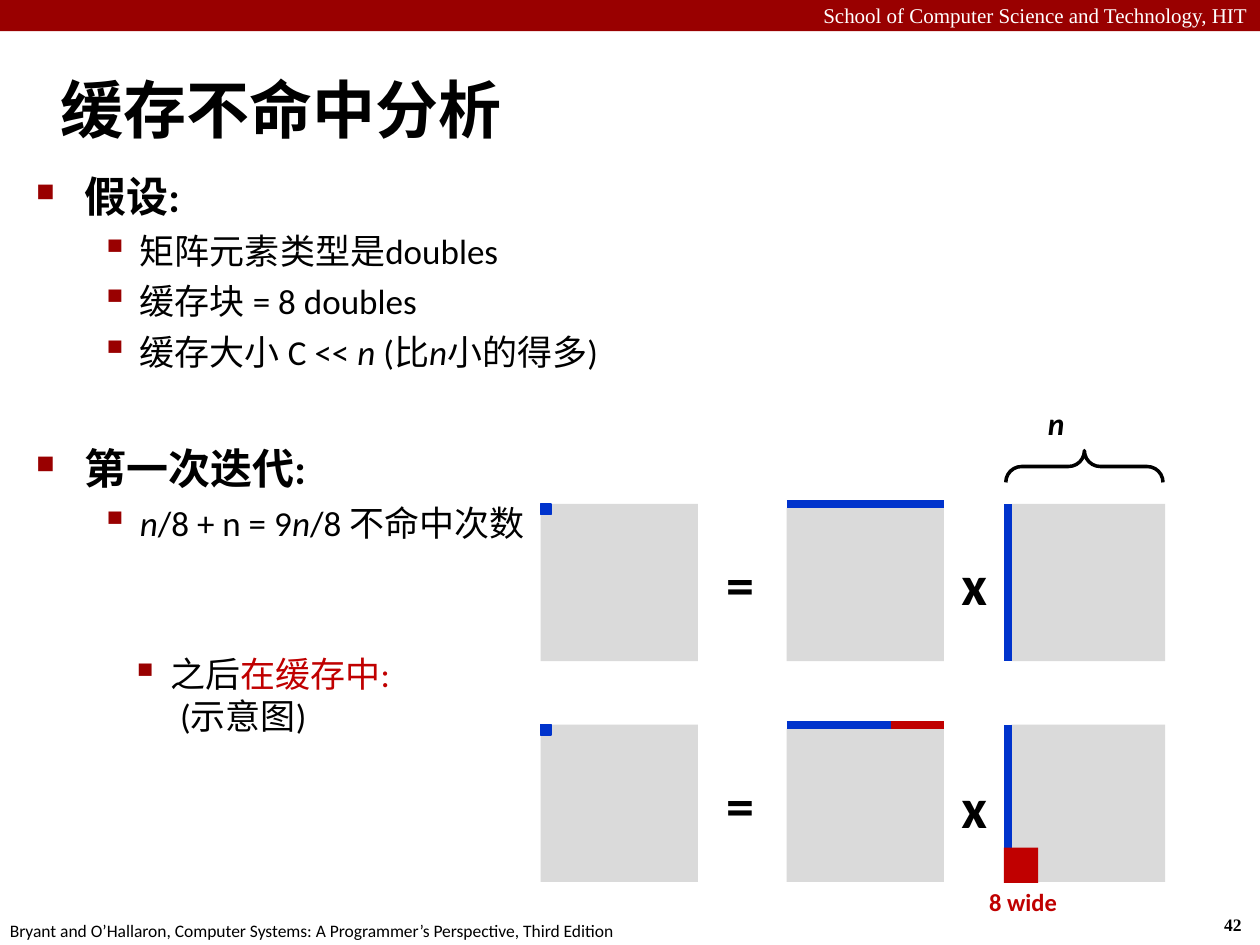
from lxml.etree import SubElement
from pptx import Presentation
from pptx.dml.color import RGBColor
from pptx.enum.shapes import MSO_CONNECTOR, MSO_SHAPE
from pptx.enum.text import MSO_ANCHOR, PP_ALIGN
from pptx.oxml.ns import qn
from pptx.util import Cm, Pt

COLORS = {
    "banner": "990000",
    "white": "FFFFFF",
    "black": "000000",
    "matrix": "DADADA",
    "blue": "0033CC",
    "red": "C00000",
}
BULLETS = {
    "heading": {"char": "■", "percent": 60, "margin": 0.99, "hanging": 0.97},
    "item": {"char": "▪", "percent": 110, "margin": 2.11, "hanging": 0.79},
    "note": {"char": "▪", "percent": 110, "margin": 0.84, "hanging": 0.79},
}

presentation = Presentation()
presentation.slide_width = Cm(25.4)
presentation.slide_height = Cm(19.05)
slide = presentation.slides.add_slide(presentation.slide_layouts[6])


def add_text(box, paragraphs, inset=0, wrap=True, anchor=MSO_ANCHOR.TOP):
    frame = slide.shapes.add_textbox(*[Cm(length) for length in box]).text_frame
    frame.word_wrap = wrap
    frame.vertical_anchor = anchor
    frame.margin_left = frame.margin_right = Cm(inset)
    frame.margin_top = frame.margin_bottom = Cm(inset / 2)
    for index, style in enumerate(paragraphs):
        paragraph = frame.paragraphs[0] if index == 0 else frame.add_paragraph()
        paragraph.alignment = style.get("align", PP_ALIGN.LEFT)
        if "before" in style:
            paragraph.space_before = Pt(style["before"])
        if "line" in style:
            paragraph.line_spacing = Pt(style["line"])
        properties = paragraph._p.get_or_add_pPr()
        if "bullet" in style:
            bullet = BULLETS[style["bullet"]]
            paragraph.level = 1 if style["bullet"] == "item" else 0
            properties.set("marL", str(Cm(bullet["margin"])))
            properties.set("indent", str(-Cm(bullet["hanging"])))
            color = SubElement(properties, qn("a:buClr"))
            SubElement(color, qn("a:srgbClr"), val=COLORS["banner"])
            SubElement(properties, qn("a:buSzPct"), val=str(bullet["percent"] * 1000))
            SubElement(properties, qn("a:buChar"), char=bullet["char"])
        elif "margin" in style:
            properties.set("marL", str(Cm(style["margin"])))
            properties.set("indent", "0")
        paragraph.font.name = style.get("font", "Calibri")
        paragraph.font.size = Pt(style["size"])
        paragraph.font.bold = style.get("bold", False)
        paragraph.font.color.rgb = RGBColor.from_string(COLORS[style.get("color", "black")])
        for text, *emphasis in style["runs"]:
            run = paragraph.add_run()
            run.text = text
            if "italic" in emphasis:
                run.font.italic = True
            if "red" in emphasis:
                run.font.color.rgb = RGBColor.from_string(COLORS["red"])


def add_rectangle(box, color):
    shape = slide.shapes.add_shape(MSO_SHAPE.RECTANGLE, *[Cm(length) for length in box])
    shape.shadow.inherit = False
    shape.fill.solid()
    shape.fill.fore_color.rgb = RGBColor.from_string(COLORS[color])
    shape.line.fill.background()
    return shape


add_rectangle((0, 0, 25.4, 0.63), "banner")
add_text(
    (0, -0.08, 25.4, 0.76),
    [{"runs": [("School of Computer Science and Technology, HIT",)], "size": 12,
      "font": "Times New Roman", "color": "white", "align": PP_ALIGN.RIGHT}],
    inset=0.25,
)
add_text(
    (24.43, 18.31, 0.94, 0.69),
    [{"runs": [("42",)], "size": 10, "font": "Times New Roman", "bold": True}],
    inset=0.25, wrap=False,
)
add_text(
    (-0.05, 18.42, 12.9, 0.69),
    [{"runs": [("Bryant and O’Hallaron, Computer Systems: A Programmer’s Perspective, Third Edition",)],
      "size": 10}],
    inset=0.25, wrap=False,
)
add_text(
    (1.22, 1.42, 10.57, 1.52),
    [{"runs": [("缓存不命中分析",)], "size": 36, "bold": True}],
    anchor=MSO_ANCHOR.MIDDLE,
)
add_text((0.71, 3.43, 20.75, 7.59), [
    {"runs": [("假设:",)], "size": 24, "bold": True, "bullet": "heading"},
    {"runs": [("矩阵元素类型是doubles",)], "size": 20, "bullet": "item", "before": 5},
    {"runs": [("缓存块 = 8 doubles",)], "size": 20, "bullet": "item", "before": 4.8},
    {"runs": [("缓存大小 C << ",), ("n ", "italic"), ("(比",), ("n", "italic"), ("小的得多)",)],
     "size": 20, "bullet": "item", "before": 4.8},
    {"runs": [("n", "italic")], "size": 18, "bold": True, "align": PP_ALIGN.RIGHT,
     "line": 21.6, "before": 18.5},
    {"runs": [("第一次迭代:",)], "size": 24, "bold": True, "bullet": "heading", "line": 28.8},
    {"runs": [("n", "italic"), ("/8 + n = 9",), ("n", "italic"), ("/8 不命中次数",)],
     "size": 20, "bullet": "item", "before": 5.1},
])
add_text((2.59, 13.16, 6.78, 1.7), [
    {"runs": [("之后",), ("在缓存中:", "red")], "size": 20, "bullet": "note"},
    {"runs": [("(示意图)",)], "size": 20, "margin": 1.04},
])

side = 3.17
result_left, row_left, column_left = 10.9, 15.86, 20.32
strokes = []
for top, times_offset in ((10.16, 0.92), (14.61, 0.97)):
    add_rectangle((result_left, top, side, side), "matrix")
    add_rectangle((row_left, top + 0.08, side, side - 0.08), "matrix")
    add_rectangle((column_left + 0.08, top, side - 0.08, side), "matrix")
    element = add_rectangle((result_left, top, 0.21, 0.21), "blue")
    element.line.color.rgb = RGBColor.from_string(COLORS["blue"])
    element.line.width = Pt(0.75)
    for left, offset, symbol in ((14.64, 0.92, "="), (19.38, times_offset, "x")):
        add_text((left, top + offset, 0.64, 1.45),
                 [{"runs": [(symbol,)], "size": 32, "bold": True}])
    strokes += [
        (row_left, top, row_left + side, top, "blue"),
        (column_left, top, column_left, top + side, "blue"),
    ]
strokes.append((row_left + side - 1.06, top, row_left + side, top, "red"))

for *ends, color in strokes:
    connector = slide.shapes.add_connector(MSO_CONNECTOR.STRAIGHT, *[Cm(end) for end in ends])
    connector.line.color.rgb = RGBColor.from_string(COLORS[color])
    connector.line.width = Pt(4.5)
    SubElement(connector._element.spPr, qn("a:effectLst"))

brace = slide.shapes.add_shape(MSO_SHAPE.LEFT_BRACE, Cm(21.54), Cm(7.82), Cm(0.64), Cm(side))
brace.rotation = 90
brace.adjustments[0] = 0.5
brace.shadow.inherit = False
brace.fill.background()
brace.line.color.rgb = RGBColor.from_string(COLORS["black"])
brace.line.width = Pt(2)

add_rectangle((20.24, 17.09, 0.69, 0.71), "red")
add_text((19.94, 17.88, 1.45, 0.66),
         [{"runs": [("8 wide",)], "size": 14, "bold": True, "color": "red"}])

presentation.save("out.pptx")
